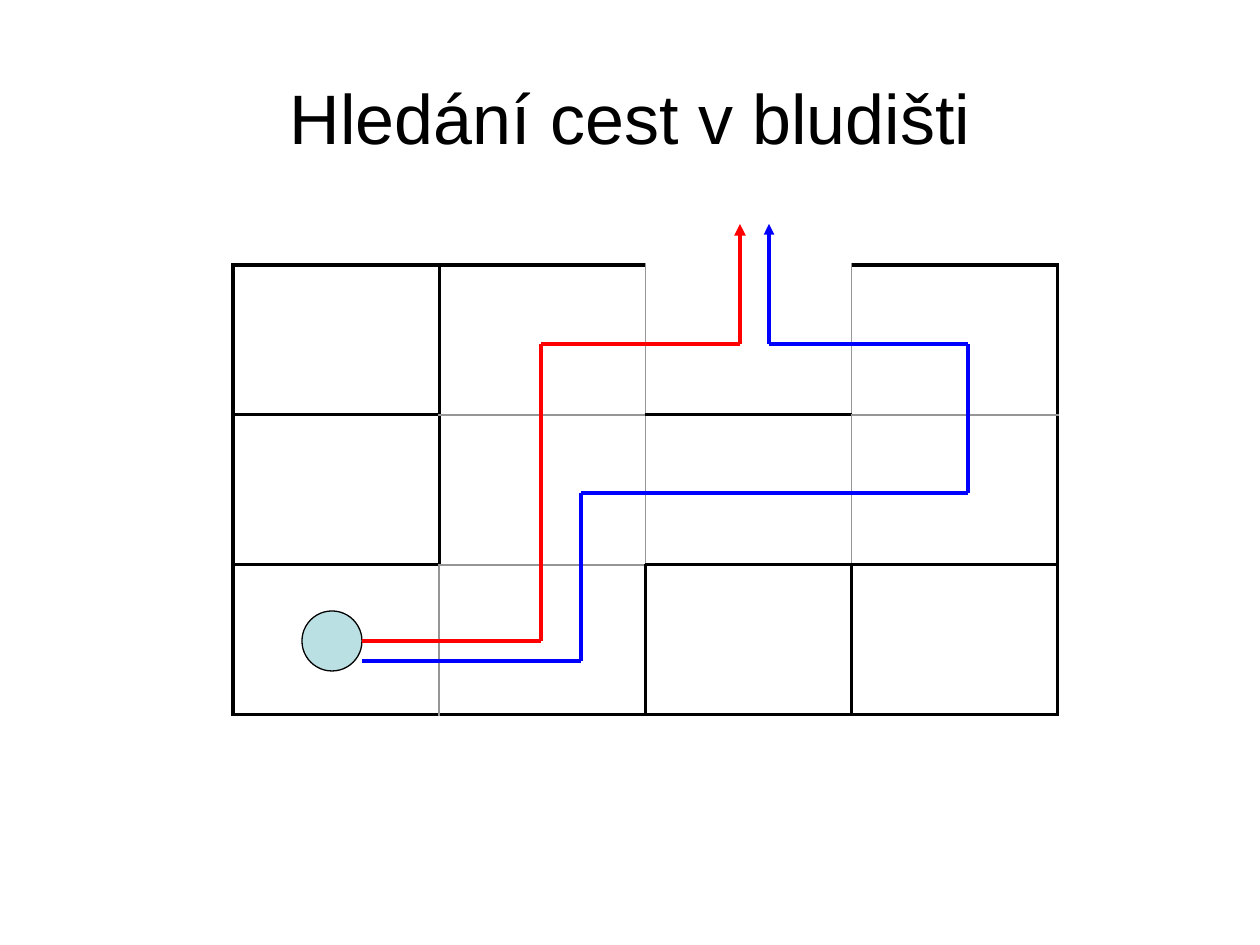
from lxml.etree import SubElement
from pptx import Presentation
from pptx.dml.color import RGBColor
from pptx.enum.shapes import MSO_CONNECTOR, MSO_SHAPE
from pptx.enum.text import MSO_ANCHOR, PP_ALIGN
from pptx.oxml.ns import qn
from pptx.util import Emu, Pt

PX_PER_INCH = 126
BLACK = RGBColor(0x00, 0x00, 0x00)
GREY = RGBColor(0x96, 0x96, 0x96)
RED = RGBColor(0xFF, 0x00, 0x00)
BLUE = RGBColor(0x00, 0x00, 0xFF)
PALE = RGBColor(0xBB, 0xE0, 0xE3)

# One character per cell edge: # is a wall, . a passage, - the exit
ROW_EDGES = ["##-#", "#.#.", "#.##", "####"]
COL_EDGES = ["##..#", "##..#", "#.###"]
EDGE_STYLES = {"#": (BLACK, 2), ".": (GREY, 1), "-": None}

# Path corners relative to the maze
RED_PATH = [(129, 376), (308, 376), (308, 79), (507, 79), (507, -41)]
BLUE_PATH = [(129, 396), (348, 396), (348, 228), (735, 228),
             (735, 79), (536, 79), (536, -41)]


def px(value):
    return Emu(round(value * 914400 / PX_PER_INCH))


def add_title(slide, box):
    sp = slide.shapes.title
    sp.left, sp.top, sp.width, sp.height = map(px, box)
    tf = sp.text_frame
    tf.text = "Hledání cest v bludišti"
    tf.vertical_anchor = MSO_ANCHOR.MIDDLE
    p = tf.paragraphs[0]
    p.alignment = PP_ALIGN.CENTER
    font = p.runs[0].font
    font.name, font.size, font.color.rgb = "Arial", Pt(40), BLACK


def set_border(cell, side, style):
    tc_pr = cell._tc.get_or_add_tcPr()
    ln = SubElement(tc_pr, qn(f"a:ln{side}"))
    if style is None:
        SubElement(ln, qn("a:noFill"))
        return
    color, width = style
    ln.set("w", str(Pt(width)))
    fill = SubElement(ln, qn("a:solidFill"))
    SubElement(fill, qn("a:srgbClr")).set("val", str(color))


def add_maze(slide, box):
    left, top, width, height = box
    n_rows, n_cols = len(COL_EDGES), len(ROW_EDGES[0])
    table = slide.shapes.add_table(n_rows, n_cols, *map(px, box)).table
    table.first_row = table.horz_banding = False
    for col in table.columns:
        col.width = px(width / n_cols)
    for row in table.rows:
        row.height = px(height / n_rows)
    for r in range(n_rows):
        for c in range(n_cols):
            cell = table.cell(r, c)
            edges = {"L": COL_EDGES[r][c], "R": COL_EDGES[r][c + 1],
                     "T": ROW_EDGES[r][c], "B": ROW_EDGES[r + 1][c]}
            for side, edge in edges.items():
                set_border(cell, side, EDGE_STYLES[edge])
            cell.fill.background()


def add_start(slide, box):
    left, top, _, _ = box
    sp = slide.shapes.add_shape(MSO_SHAPE.OVAL, px(left + 69), px(top + 346),
                                px(60), px(60))
    sp.shadow.inherit = False
    sp.fill.solid()
    sp.fill.fore_color.rgb = PALE
    sp.line.color.rgb = BLACK
    sp.line.width = Pt(0.75)


def add_path(slide, box, points, color, arrow_width):
    """Join the points with straight lines, the last one an arrow."""
    left, top, _, _ = box
    corners = [(px(left + x), px(top + y)) for x, y in points]
    for start, end in zip(corners, corners[1:]):
        line = slide.shapes.add_connector(MSO_CONNECTOR.STRAIGHT, *start, *end)
        line.line.color.rgb = color
        line.line.width = Pt(2)
        SubElement(line._element.spPr, qn("a:effectLst"))
    line.line.width = Pt(arrow_width)
    ln = line.line._get_or_add_ln()
    SubElement(ln, qn("a:tailEnd")).set("type", "triangle")


def main():
    prs = Presentation()
    prs.slide_width, prs.slide_height = px(1260), px(945)
    slide = prs.slides.add_slide(prs.slide_layouts[5])
    maze = (233, 265, 825, 450)
    add_title(slide, (63, 38, 1134, 158))
    add_maze(slide, maze)
    add_start(slide, maze)
    add_path(slide, maze, RED_PATH, RED, 2.25)
    add_path(slide, maze, BLUE_PATH, BLUE, 2)
    prs.save("out.pptx")


if __name__ == "__main__":
    main()
